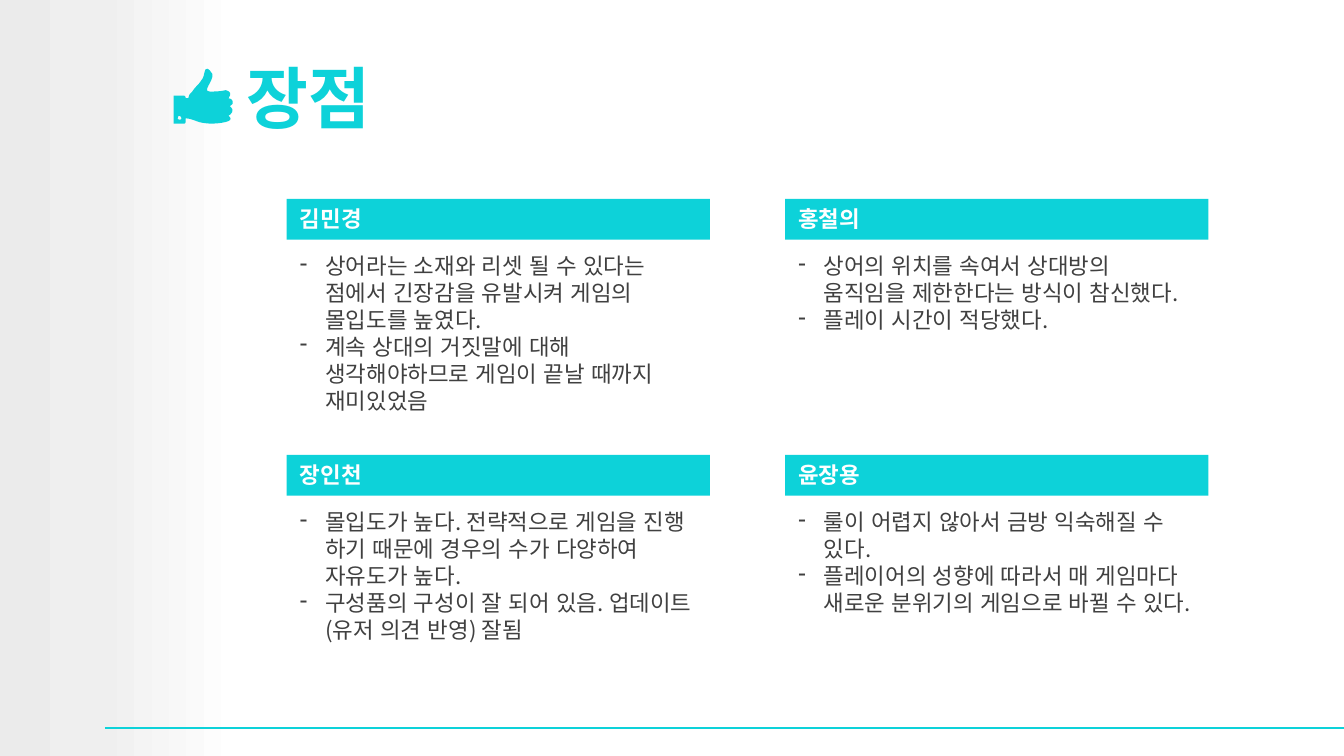
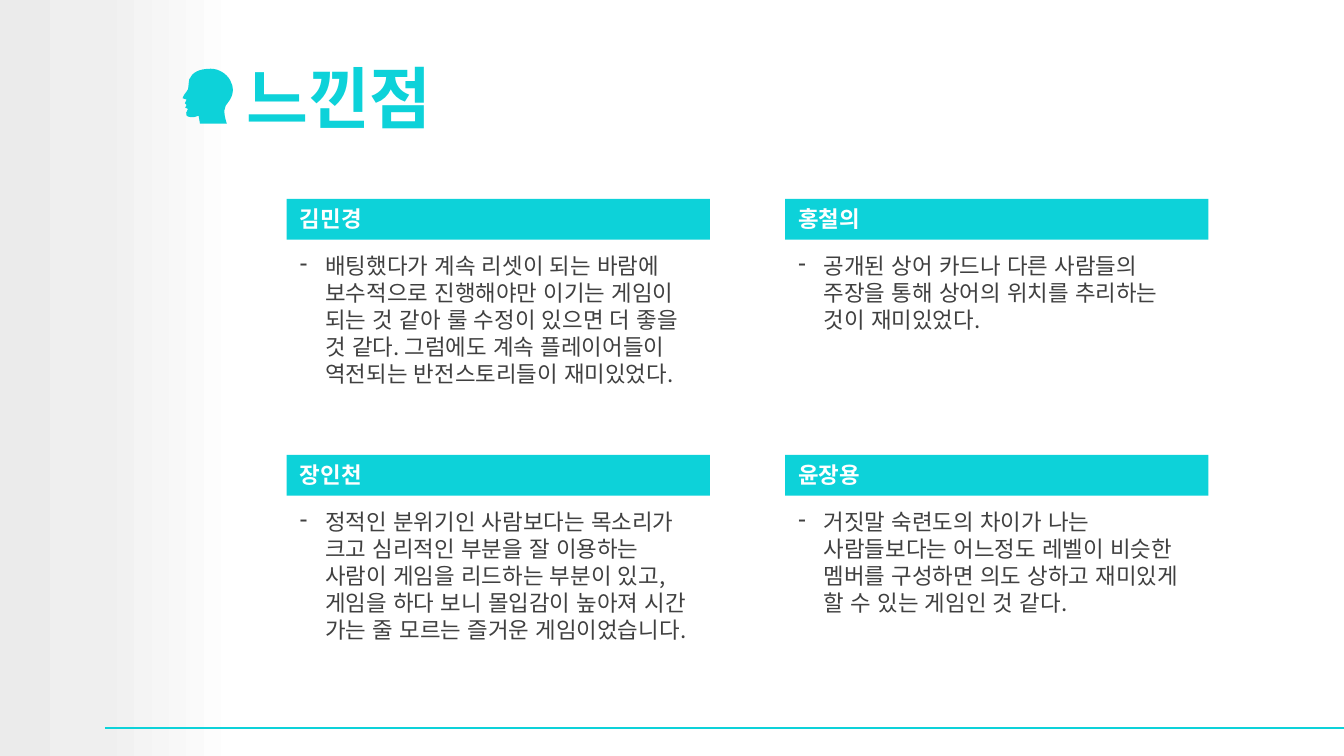
import copy
from dataclasses import dataclass

import pptx
import pptx.dml.color
import pptx.enum.lang
import pptx.enum.shapes
import pptx.enum.text
import pptx.oxml
import pptx.oxml.ns
import pptx.util
from pptx.util import Cm, Pt


@dataclass(frozen=True)
class Theme:
    accent: str = "0DD2D9"
    body: str = "404040"
    white: str = "FFFFFF"
    band_stops: tuple = ((0, "EBEBEB"), (0.42, "EFEFEF"), (1, "FFFFFF"))
    font: str = "Noto Sans CJK KR"
    title_size: int = 36
    text_size: int = 12
    rule_width: int = 1


THEME = Theme()
WIDTH, HEIGHT = Cm(25.4), Cm(14.29)
TITLE_BOX = (Cm(4.4), Cm(0.74), Cm(21), Cm(2.16))
RULE_LEFT, RULE_TOP = Cm(1.98), Cm(13.76)
ICON_TOP, ICON_HEIGHT, ICON_ROWS = Cm(1.3), Cm(1.04), 41
CARD_LEFT, CARD_TOP, CARD_WIDTH = Cm(5.42), Cm(3.76), Cm(8)
COLUMN_STEP, ROW_STEP = Cm(9.42), Cm(4.84)
HEADER_HEIGHT, BODY_OFFSET = Cm(0.77), Cm(0.89)
BODY_PADDING, LINE_HEIGHT = Cm(0.25), Cm(0.51)
BULLET_INDENT = Cm(0.48)

THUMB_UP = (
    Cm(3.28), 45,
    [
        "M 25 0 C 26 0 28 2 29 4 C 30 9 21 17 27 17 C 32 17 34 17 39 16 "
        "C 43 17 43 19 41 22 C 44 22 46 26 42 28 C 46 31 43 34 41 35 "
        "C 43 37 43 38 41 39 C 36 41 24 42 17 39 C 14 38 12 37 9 37 L 9 39 "
        "C 9 40 9 41 8 41 L 0 41 L 0 20 L 8 20 C 9 20 9 20 9 21 L 9 22 "
        "C 10 22 10 22 11 22 C 11 20 12 19 14 17 C 17 12 22 10 23 3 C 23 1 24 0 25 0",
        "M 4 35 C 4 35 3 36 3 37 C 3 38 4 38 4 38 C 5 38 6 38 6 37 C 6 36 5 35 4 35",
    ],
)
HEAD = (
    Cm(3.45), 37,
    [
        "M 21 0 C 12 0 7 3 5 8 C 4 13 5 15 3 17 C 2 19 0 20 0 22 C 1 22 2 23 3 23 "
        "C 3 24 1 26 2 26 L 3 27 C 3 28 2 28 2 29 C 2 29 4 30 4 30 C 3 32 2 34 3 35 "
        "C 4 36 8 37 12 35 L 13 41 L 33 41 C 30 32 31 28 34 25 C 43 14 33 0 21 0",
    ],
)
SEGMENT_TAGS = {"M": "a:moveTo", "L": "a:lnTo", "C": "a:cubicBezTo"}

REVIEWERS = ["김민경", "홍철의", "장인천", "윤장용"]
REVIEWS = [
    ("장점", THUMB_UP, [
        (7, ["상어라는 소재와 리셋 될 수 있다는 점에서 긴장감을 유발시켜 게임의 몰입도를 높였다.",
             "계속 상대의 거짓말에 대해 생각해야하므로 게임이 끝날 때까지 재미있었음"]),
        (3, ["상어의 위치를 속여서 상대방의 움직임을 제한한다는 방식이 참신했다. ",
             "플레이 시간이 적당했다."]),
        (5, ["몰입도가 높다. 전략적으로 게임을 진행 하기 때문에 경우의 수가 다양하여 자유도가 높다. ",
             "구성품의 구성이 잘 되어 있음. 업데이트 (유저 의견 반영) 잘됨"]),
        (5, ["룰이 어렵지 않아서 금방 익숙해질 수 있다.",
             "플레이어의 성향에 따라서 매 게임마다 새로운 분위기의 게임으로 바뀔 수 있다."]),
    ]),
    ("느낀점", HEAD, [
        (7, ["배팅했다가 계속 리셋이 되는 바람에 보수적으로 진행해야만 이기는 게임이 되는 것 같아 "
             "룰 수정이 있으면 더 좋을 것 같다. 그럼에도 계속 플레이어들이 역전되는 "
             "반전스토리들이 재미있었다."]),
        (4, ["공개된 상어 카드나 다른 사람들의 주장을 통해 상어의 위치를 추리하는 것이 재미있었다."]),
        (7, ["정적인 분위기인 사람보다는 목소리가 크고 심리적인 부분을 잘 이용하는 사람이 게임을 "
             "리드하는 부분이 있고, 게임을 하다 보니 몰입감이 높아져 시간 가는 줄 모르는 "
             "즐거운 게임이었습니다."]),
        (5, ["거짓말 숙련도의 차이가 나는 사람들보다는 어느정도 레벨이 비슷한 멤버를 구성하면 "
             "의도 상하고 재미있게 할 수 있는 게임인 것 같다."]),
    ]),
]


def rgb(value):
    return pptx.dml.color.RGBColor.from_string(value)


def add_xml(parent, tag, **attributes):
    node = pptx.oxml.parse_xml(f"<{tag} {pptx.oxml.ns.nsdecls('a')}/>")
    for key, value in attributes.items():
        node.set(key, str(value))
    parent.append(node)
    return node


def add_run(paragraph, text, size, color, bold=False):
    run = paragraph.add_run()
    run.text = text
    run.font.size = Pt(size)
    run.font.bold = bold
    run.font.color.rgb = rgb(color)
    run.font.name = THEME.font
    run.font.language_id = pptx.enum.lang.MSO_LANGUAGE_ID.KOREAN
    add_xml(run._r.get_or_add_rPr(), "a:ea", typeface=THEME.font)
    paragraph.alignment = pptx.enum.text.PP_ALIGN.LEFT


def fill_plain(shape, color):
    shape.shadow.inherit = False
    shape.fill.solid()
    shape.fill.fore_color.rgb = rgb(color)
    shape.line.fill.background()


def build_backdrop(slide, layout):
    band = slide.shapes.add_shape(
        pptx.enum.shapes.MSO_SHAPE.RECTANGLE, 0, 0, Cm(4.5), HEIGHT)
    band.shadow.inherit = False
    band.line.fill.background()
    band.fill.gradient()
    band.fill.gradient_angle = 0
    stop_list = band.element.find(".//" + pptx.oxml.ns.qn("a:gsLst"))
    stop_list.insert(1, copy.deepcopy(stop_list[0]))
    for stop, (position, color) in zip(band.fill.gradient_stops, THEME.band_stops):
        stop.position = position
        stop.color.rgb = rgb(color)

    rule = slide.shapes.add_connector(
        pptx.enum.shapes.MSO_CONNECTOR.STRAIGHT, RULE_LEFT, RULE_TOP, WIDTH, RULE_TOP)
    rule.line.color.rgb = rgb(THEME.accent)
    rule.line.width = Pt(THEME.rule_width)
    add_xml(rule.element.spPr, "a:effectLst")

    for index, part in enumerate((band, rule), start=2):
        layout.shapes.element.insert(index, part.element)


def trace_outline(contour, outline):
    segment = None
    numbers = []
    for token in outline.split():
        if token in SEGMENT_TAGS:
            segment = add_xml(contour, SEGMENT_TAGS[token])
            continue
        numbers.append(token)
        if len(numbers) == 2:
            add_xml(segment, "a:pt", x=numbers[0], y=numbers[1])
            numbers = []
    add_xml(contour, "a:close")


def draw_icon(slide, icon, top, height):
    left, columns, outlines = icon
    builder = slide.shapes.build_freeform(0, 0, scale=height / ICON_ROWS)
    builder.add_line_segments([(columns, 0), (columns, ICON_ROWS)], close=True)
    silhouette = builder.convert_to_shape(left, top)
    contour = silhouette.element.find(".//" + pptx.oxml.ns.qn("a:path"))
    for segment in list(contour):
        contour.remove(segment)
    for outline in outlines:
        trace_outline(contour, outline)
    fill_plain(silhouette, THEME.accent)


def set_title(slide, text, box):
    title = slide.shapes.title
    title.left, title.top, title.width, title.height = box
    frame = title.text_frame
    frame.auto_size = pptx.enum.text.MSO_AUTO_SIZE.NONE
    frame.vertical_anchor = pptx.enum.text.MSO_ANCHOR.MIDDLE
    add_run(frame.paragraphs[0], text, THEME.title_size, THEME.accent, bold=True)


def draw_card(slide, reviewer, opinions, lines, left, top, width):
    card = slide.shapes.add_group_shape()
    body = card.shapes.add_textbox(
        left, top + BODY_OFFSET, width, BODY_PADDING + lines * LINE_HEIGHT)
    header = card.shapes.add_shape(
        pptx.enum.shapes.MSO_SHAPE.RECTANGLE, left, top, width, HEADER_HEIGHT)
    fill_plain(header, THEME.accent)
    for shape in (body, header):
        shape.text_frame.word_wrap = True
        shape.text_frame.auto_size = pptx.enum.text.MSO_AUTO_SIZE.SHAPE_TO_FIT_TEXT
        shape.text_frame.vertical_anchor = pptx.enum.text.MSO_ANCHOR.TOP

    add_run(header.text_frame.paragraphs[0], reviewer,
            THEME.text_size, THEME.white, bold=True)

    for index, opinion in enumerate(opinions):
        frame = body.text_frame
        paragraph = frame.add_paragraph() if index else frame.paragraphs[0]
        add_run(paragraph, opinion, THEME.text_size, THEME.body)
        properties = paragraph._p.get_or_add_pPr()
        properties.set("marL", str(BULLET_INDENT))
        properties.set("indent", str(-BULLET_INDENT))
        add_xml(properties, "a:buFontTx")
        add_xml(properties, "a:buChar", char="-")


def build_review(slide, heading, icon, reviews):
    set_title(slide, heading, TITLE_BOX)
    for index, (reviewer, (lines, opinions)) in enumerate(zip(REVIEWERS, reviews)):
        row, column = divmod(index, 2)
        draw_card(slide, reviewer, opinions, lines,
                  CARD_LEFT + column * COLUMN_STEP, CARD_TOP + row * ROW_STEP, CARD_WIDTH)
    draw_icon(slide, icon, ICON_TOP, ICON_HEIGHT)


deck = pptx.Presentation()
deck.slide_width, deck.slide_height = WIDTH, HEIGHT
title_only = deck.slide_layouts[5]
slides = [deck.slides.add_slide(title_only) for _ in REVIEWS]
build_backdrop(slides[0], title_only)
for review_slide, review in zip(slides, REVIEWS):
    build_review(review_slide, *review)
deck.save("out.pptx")
